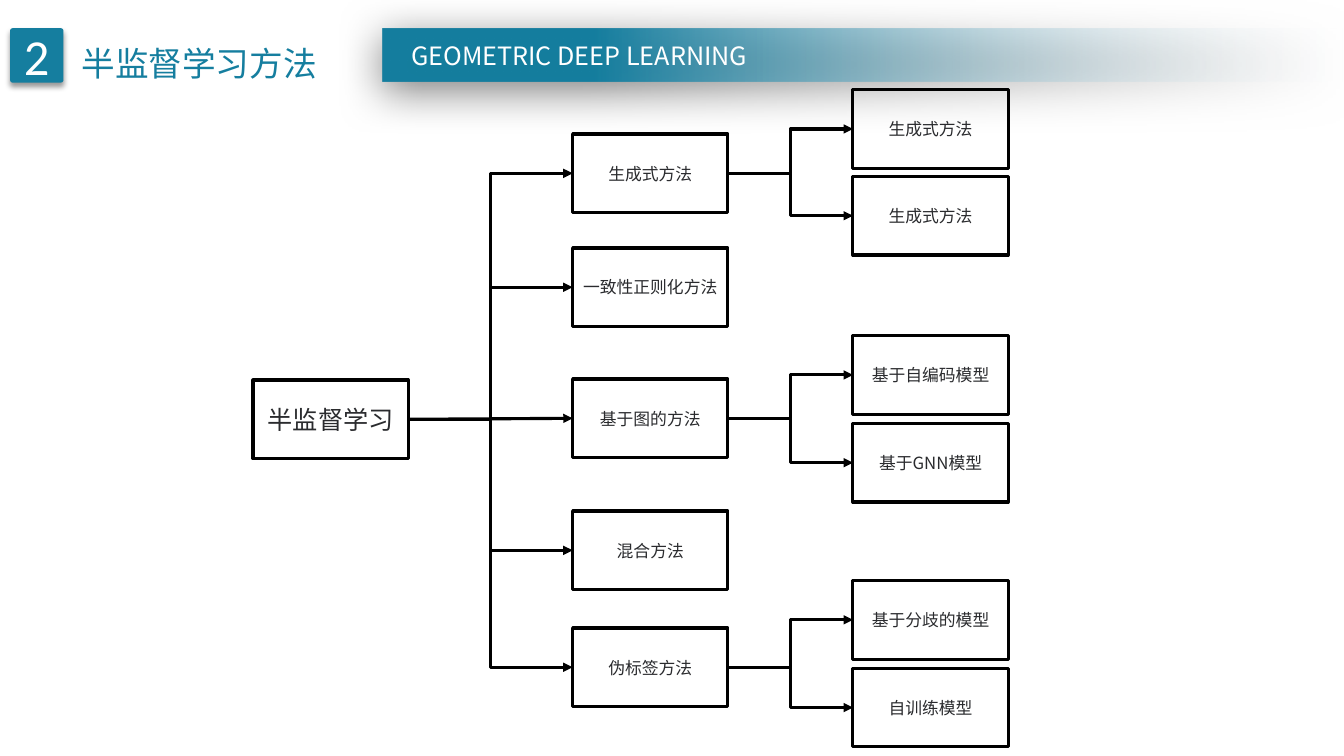
from lxml import etree
from pptx import Presentation
from pptx.dml.color import RGBColor
from pptx.enum.shapes import MSO_CONNECTOR, MSO_SHAPE
from pptx.enum.text import MSO_ANCHOR, PP_ALIGN
from pptx.oxml.ns import qn
from pptx.util import Pt

PX = 9144  # EMU per px, 100 px to the inch
COLORS = {"teal": "157E9F", "pale": "F6F8FC", "white": "FFFFFF", "ink": "2A2B2E", "black": "000000"}
RGB = {name: RGBColor.from_string(value) for name, value in COLORS.items()}
CJK_FONT = "Noto Sans CJK SC"
RECTANGLE, ROUNDED, PROCESS = MSO_SHAPE.RECTANGLE, MSO_SHAPE.ROUNDED_RECTANGLE, MSO_SHAPE.FLOWCHART_PROCESS
STRAIGHT, ELBOW = MSO_CONNECTOR.STRAIGHT, MSO_CONNECTOR.ELBOW
MIDDLE, LEFT, CENTER = MSO_ANCHOR.MIDDLE, PP_ALIGN.LEFT, PP_ALIGN.CENTER
LEFT_SITE, RIGHT_SITE = 1, 3
LINE_WIDTH = Pt(2.25)


def write(shape, text, size, color, align=CENTER, font=CJK_FONT):
    para = shape.text_frame.paragraphs[0]
    para.alignment = align
    span = para.add_run()
    span.text = text
    span.font.name, span.font.size = font, Pt(size)
    span.font.color.rgb = RGB[color]
    etree.SubElement(span.font._element, qn("a:ea"), typeface=font)
    return para


def cast_shadow(shape, opacity, blur, distance, angle):
    """Give the shape an outer shadow; lengths in points, angle in degrees."""
    shape.shadow.inherit = False
    effects = shape._element.spPr.find(qn("a:effectLst"))
    shadow = etree.SubElement(effects, qn("a:outerShdw"), blurRad=str(Pt(blur)), dist=str(Pt(distance)),
                              dir=str(angle * 60000), algn="t", rotWithShape="0")
    color = etree.SubElement(shadow, qn("a:srgbClr"), val=COLORS["black"])
    etree.SubElement(color, qn("a:alpha"), val=str(opacity * 1000))


deck = Presentation()
deck.slide_width, deck.slide_height = 1333 * PX, 750 * PX
page = deck.slides.add_slide(deck.slide_layouts[6])
shapes = page.shapes

# Header bar, fading out to the right
bar = shapes.add_shape(RECTANGLE, 380 * PX, 28 * PX, 953 * PX, 53 * PX)
bar.line.fill.background()
bar.fill.gradient()
bar.fill.gradient_angle = 180
for stop, position, color in zip(bar.fill.gradient_stops, (0, 0.78), ("pale", "teal")):
    stop.position = position
    stop.color.rgb = RGB[color]
pale_stop = next(bar._element.spPr.iter(qn("a:srgbClr")))
etree.SubElement(pale_stop, qn("a:alpha"), val="0")
cast_shadow(bar, 50, 31, 6, 97)

# Section number
badge = shapes.add_shape(ROUNDED, 10 * PX, 28 * PX, 53 * PX, 54 * PX)
badge.adjustments[0] = 0.05
badge.line.fill.background()
badge.fill.solid()
badge.fill.fore_color.rgb = RGB["teal"]
cast_shadow(badge, 40, 4, 3, 90)
badge.text_frame.vertical_anchor = MIDDLE
badge.text_frame.word_wrap = False
write(badge, "2", 36, "white", font="Calibri")

# Headings
banner = shapes.add_textbox(388 * PX, 35 * PX, 373 * PX, 40 * PX)
banner.text_frame.word_wrap = False
write(banner, "GEOMETRIC DEEP LEARNING", 18, "white")
title = shapes.add_textbox(71 * PX, 18 * PX, 256 * PX, 64 * PX)
title.text_frame.word_wrap = False
write(title, "半监督学习方法", 24, "teal", LEFT).line_spacing = 1.5

# Method tree: key, parent, text, left, top, text size
BOX_WIDTH, BOX_HEIGHT = 154, 78
ROOT_LEFT, METHOD_LEFT, MODEL_LEFT = 251, 568, 846
TREE = [
    ("root", None, "半监督学习", ROOT_LEFT, 377, 18),
    ("generative", "root", "生成式方法", METHOD_LEFT, 133, 12),
    ("consistency", "root", "一致性正则化方法", METHOD_LEFT, 246, 12),
    ("graph", "root", "基于图的方法", METHOD_LEFT, 376, 12),
    ("hybrid", "root", "混合方法", METHOD_LEFT, 507, 12),
    ("pseudo label", "root", "伪标签方法", METHOD_LEFT, 623, 12),
    ("generative 1", "generative", "生成式方法", MODEL_LEFT, 89, 12),
    ("generative 2", "generative", "生成式方法", MODEL_LEFT, 175, 12),
    ("autoencoder", "graph", "基于自编码模型", MODEL_LEFT, 333, 12),
    ("GNN", "graph", "基于GNN模型", MODEL_LEFT, 420, 12),
    ("disagreement", "pseudo label", "基于分歧的模型", MODEL_LEFT, 576, 12),
    ("self-training", "pseudo label", "自训练模型", MODEL_LEFT, 663, 12),
]
FRAME_FORMAT = {"vertical_anchor": MIDDLE, "word_wrap": True, "margin_left": 5 * PX, "margin_right": 5 * PX}

boxes = {}
for key, parent, text, left, top, size in TREE:
    box = shapes.add_shape(PROCESS, left * PX, top * PX, BOX_WIDTH * PX, BOX_HEIGHT * PX)
    box.shadow.inherit = False
    box.fill.background()
    box.line.color.rgb = RGB["black"]
    box.line.width = LINE_WIDTH
    for name, value in FRAME_FORMAT.items():
        setattr(box.text_frame, name, value)
    write(box, text, size, "ink")
    boxes[key] = box
    if parent is None:
        continue

    kind = STRAIGHT if key == "graph" else ELBOW
    arrow = shapes.add_connector(kind, 0, 0, 0, 0)
    arrow.begin_connect(boxes[parent], RIGHT_SITE)
    arrow.end_connect(box, LEFT_SITE)
    arrow.line.color.rgb = RGB["black"]
    arrow.line.width = LINE_WIDTH
    etree.SubElement(arrow.line._get_or_add_ln(), qn("a:tailEnd"), type="triangle")
    etree.SubElement(arrow._element.spPr, qn("a:effectLst"))

deck.save("out.pptx")
